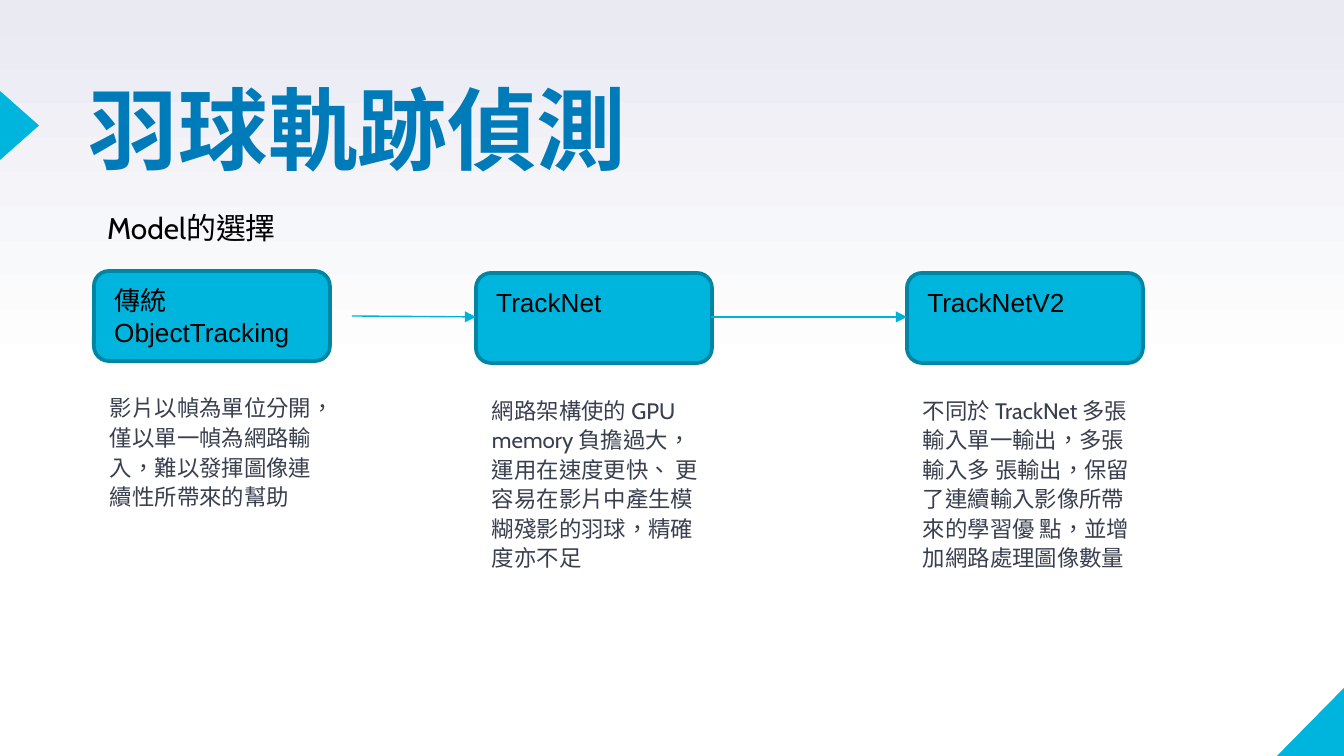
import dataclasses

import pptx
import pptx.dml.color
import pptx.enum.shapes
import pptx.enum.text
import pptx.oxml.ns
import pptx.util
from lxml import etree

SHAPE = pptx.enum.shapes.MSO_SHAPE


@dataclasses.dataclass(frozen=True)
class Theme:
    """Colours, fonts and type sizes of the slide."""
    accent: str = "00B5DD"
    border: str = "0086A3"
    arrow: str = "00B1D8"
    paper: str = "FFFFFF"
    haze: str = "E9EAF2"
    title: tuple = ("Noto Sans CJK JP", 48, "007BB9", True)
    subtitle: tuple = ("Cabin", 16, "000000", False)
    label: tuple = ("Arial", 14, "000000", False)
    body: tuple = ("Cabin", 12, "3A3F50", False)


THEME = Theme()
CARD_W, CARD_H = 236, 90
MODELS = [
    (94, 271, "傳統ObjectTracking",
     "影片以幀為單位分開，僅以單一幀為網路輸入，難以發揮圖像連續性所帶來的幫助"),
    (476, 273, "TrackNet",
     "網路架構使的 GPU memory 負擔過大，運用在速度更快、 更容易在影片中產生模糊殘影的羽球，精確度亦不足"),
    (907, 273, "TrackNetV2",
     "不同於 TrackNet 多張輸入單一輸出，多張輸入多 張輸出，保留了連續輸入影像所帶來的學習優 點，並增加網路處理圖像數量"),
]
ARROWS = [(352, 316, 476, 317), (711, 317, 907, 317)]


def px(n):
    """Turn px into EMU."""
    return round(n * 914400 / 134.4)


def rgb(code):
    """Return a colour from its hex code."""
    return pptx.dml.color.RGBColor.from_string(code)


def sub(parent, tag, **attrs):
    """Append a DrawingML element to a parent."""
    return etree.SubElement(parent, pptx.oxml.ns.qn(tag), attrs)


def add_text(slide, box, text, style, inset=True, indent=0, spacing=None, before=0):
    """Place one styled paragraph in a wrapping text box."""
    tf = slide.shapes.add_textbox(*map(px, box)).text_frame
    tf.word_wrap = True
    tf.vertical_anchor = pptx.enum.text.MSO_ANCHOR.TOP
    if not inset:
        tf.margin_left = tf.margin_right = tf.margin_top = tf.margin_bottom = 0
    p = tf.paragraphs[0]
    p.line_spacing = spacing
    p.space_before = pptx.util.Pt(before)
    pPr = p._p.get_or_add_pPr()
    pPr.set("marL", str(px(indent)))
    pPr.set("indent", "0")
    r = p.add_run()
    r.text = text
    name, size, color, bold = style
    r.font.name, r.font.size, r.font.bold = name, pptx.util.Pt(size), bold
    r.font.color.rgb = rgb(color)
    rPr = r._r.get_or_add_rPr()
    rPr.set("lang", "zh-TW")
    sub(rPr, "a:ea", typeface=name)


def add_block(slide, kind, box, line=None):
    """Place a filled accent shape with an optional border."""
    sp = slide.shapes.add_shape(kind, *map(px, box))
    sp.shadow.inherit = False
    sp.fill.solid()
    sp.fill.fore_color.rgb = rgb(THEME.accent)
    if line:
        sp.line.color.rgb = rgb(line)
        sp.line.width = pptx.util.Pt(2)
    else:
        sp.line.fill.background()
    return sp


def add_backdrop(slide, width, height):
    """Draw the gradient, the title marker and the corner."""
    fill = slide.background.fill
    fill.gradient()
    fill.gradient_angle = 90
    for stop, color, position in zip(fill.gradient_stops, (THEME.paper, THEME.haze), (0.5, 1)):
        stop.color.rgb = rgb(color)
        stop.position = position
    corner = add_block(slide, SHAPE.RIGHT_TRIANGLE, (width - 67, height - 69, 68, 69))
    corner._element.spPr.xfrm.set("flipH", "1")
    add_block(slide, SHAPE.ISOSCELES_TRIANGLE, (-15, 106, 69, 39)).rotation = 90


def add_heading(slide, x, y):
    """Place the title and subtitle."""
    add_text(slide, (x, y, 1126, 159), "羽球軌跡偵測", THEME.title,
             inset=False, indent=51, spacing=0.8)
    add_text(slide, (x + 56, y + 108, 1036, 50), "Model的選擇", THEME.subtitle)


def add_model(slide, x, y, name, detail):
    """Place one model card with its description below."""
    add_block(slide, SHAPE.ROUNDED_RECTANGLE, (x, y, CARD_W, CARD_H), THEME.border)
    add_text(slide, (x + 7, y + 7, 250, 77), name, THEME.label)
    add_text(slide, (x, y + 121, CARD_W, 177), detail, THEME.body,
             inset=False, indent=16, spacing=1.1, before=6)


def add_arrow(slide, ends):
    """Draw an arrow between two points."""
    kind = pptx.enum.shapes.MSO_CONNECTOR.STRAIGHT
    s = slide.shapes.add_connector(kind, *map(px, ends))
    s.line.color.rgb = rgb(THEME.arrow)
    s.line.width = pptx.util.Pt(0.75)
    sub(s.line._get_or_add_ln(), "a:tailEnd", type="triangle")
    sub(s._element.spPr, "a:effectLst")


def main():
    """Build and save the slide."""
    prs = pptx.Presentation()
    prs.slide_width, prs.slide_height = px(1344), px(756)
    slide = prs.slides.add_slide(prs.slide_layouts[6])
    add_backdrop(slide, 1344, 756)
    add_heading(slide, 38, 95)
    for model in MODELS:
        add_model(slide, *model)
    for ends in ARROWS:
        add_arrow(slide, ends)
    prs.save("out.pptx")


if __name__ == "__main__":
    main()
